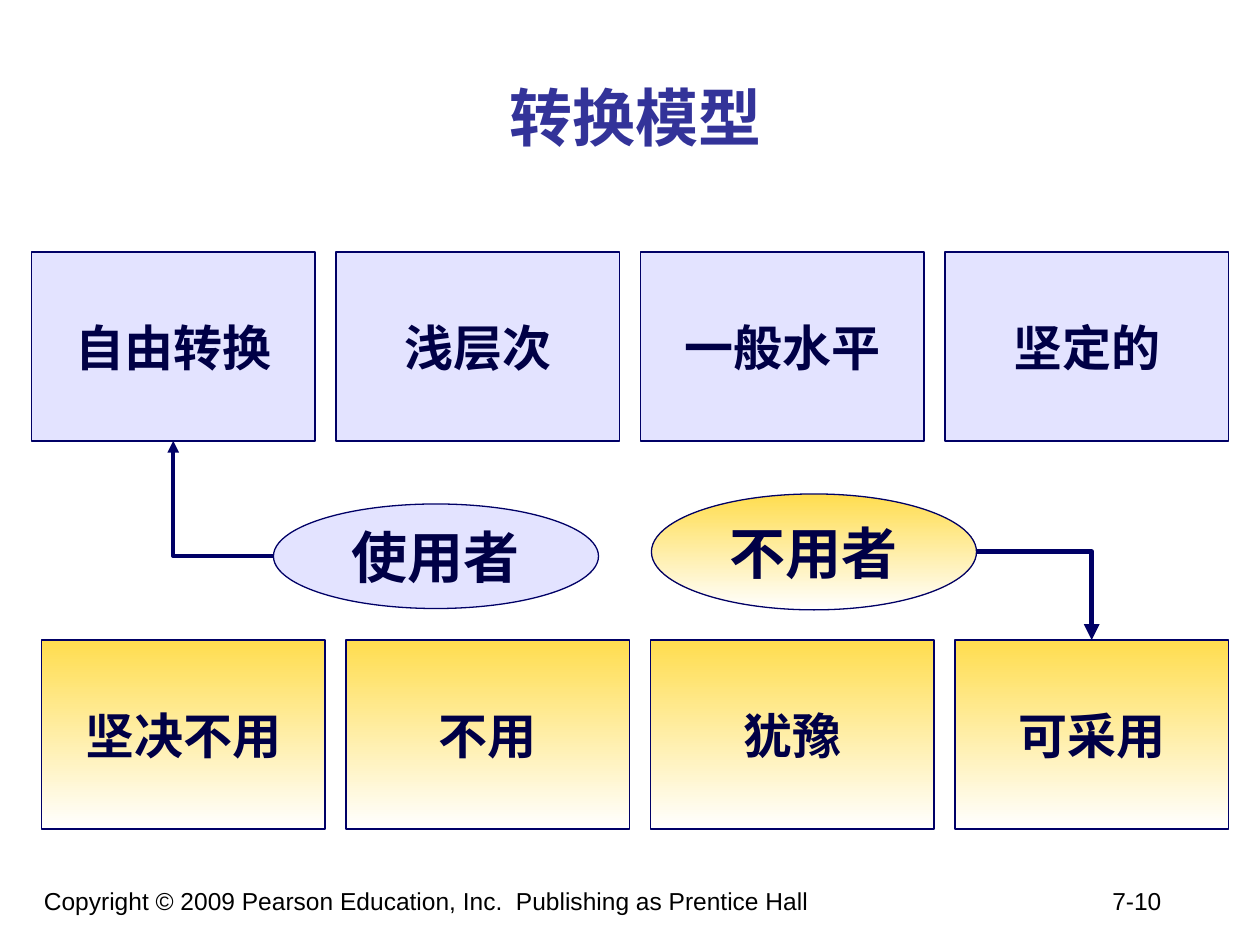
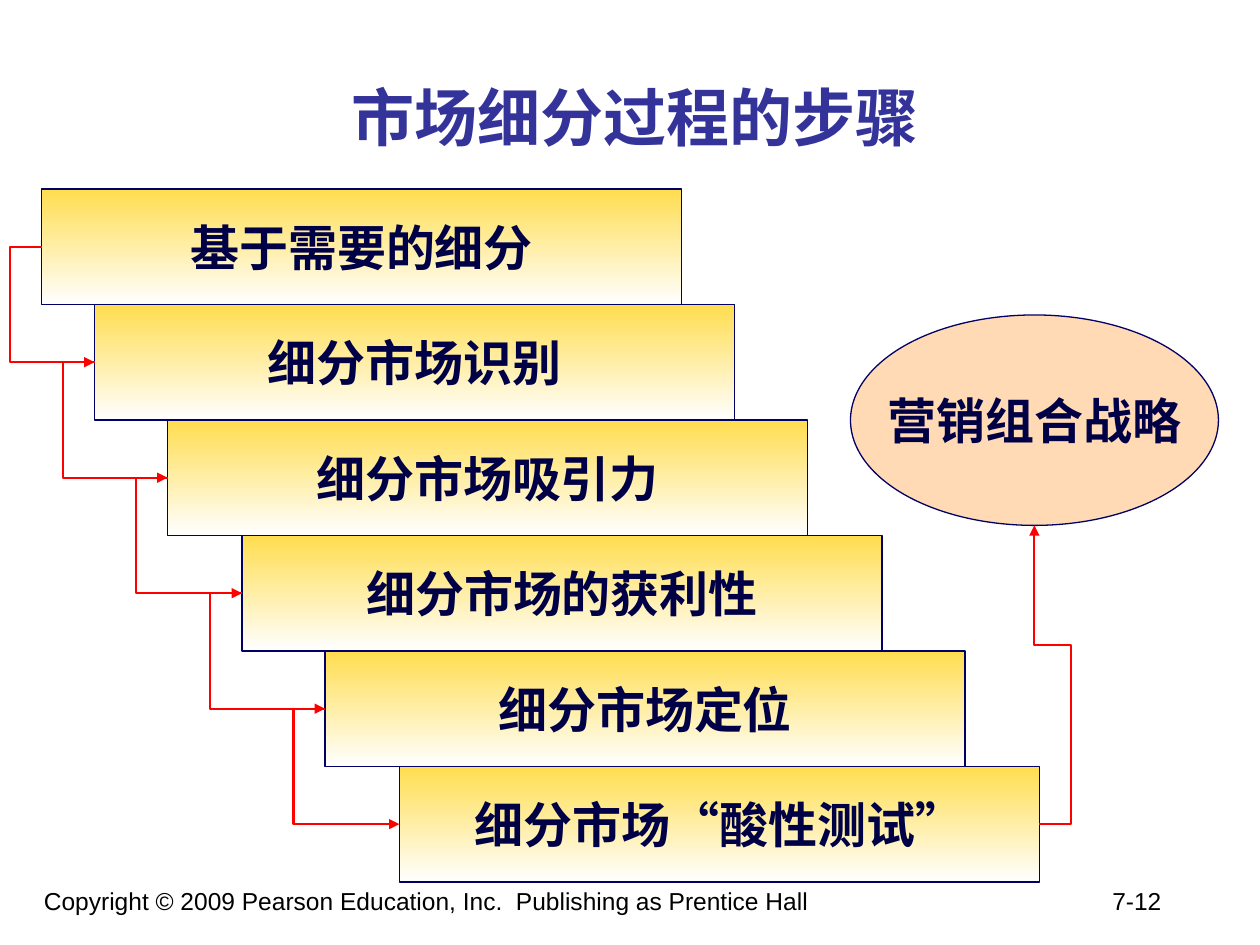
from lxml.etree import SubElement
from pptx import Presentation
from pptx.dml.color import RGBColor
from pptx.enum.shapes import MSO_CONNECTOR as Connector, MSO_SHAPE as Shape
from pptx.enum.text import MSO_ANCHOR as Anchor, PP_ALIGN as Align
from pptx.oxml.ns import qn
from pptx.util import Inches, Pt

NAVY, RED = "000066", "FF0000"
LAVENDER, PEACH = "E3E3FF", "FFDAB5"
GOLD_FADE = ("FFDD4F", "FFFFFF")
LATIN, CHINESE = "Arial", "Noto Sans CJK SC"
FOOTER = "Copyright © 2009 Pearson Education, Inc.  Publishing as Prentice Hall"
TOP, LEFT, BOTTOM, RIGHT = range(4)


def color(value):
    return RGBColor.from_string(value)


def write(shape, text, size=28, ink="000046", bold=True, font=LATIN,
          align=Align.CENTER, anchor=Anchor.MIDDLE, wrap=False, tab=None):
    frame = shape.text_frame
    frame.word_wrap = wrap
    frame.vertical_anchor = anchor
    paragraph = frame.paragraphs[0]
    paragraph.alignment = align
    if tab:
        tabs = SubElement(paragraph._p.get_or_add_pPr(), qn("a:tabLst"))
        SubElement(tabs, qn("a:tab"), pos=str(Inches(tab)), algn="l")
    run = paragraph.add_run()
    run.text = text
    run.font.size = Pt(size)
    run.font.bold = bold
    run.font.name = font
    run.font.color.rgb = color(ink)
    SubElement(run._r.get_or_add_rPr(), qn("a:ea"), typeface=CHINESE)


class Deck:
    def __init__(self):
        self.presentation = Presentation()
        self.presentation.slide_width = Inches(10)
        self.presentation.slide_height = Inches(7.5)
        self.slide = None

    def add_slide(self, title, number):
        layout = self.presentation.slide_layouts[6]
        self.slide = self.presentation.slides.add_slide(layout)
        self.text(0.25, 6.98, 9.33, 0.52, f"{FOOTER}\t{number}", size=14,
                  ink="000000", bold=False, align=Align.LEFT,
                  anchor=Anchor.TOP, tab=8.48)
        self.text(0.83, 0.3, 8.42, 1.25, title, size=36, ink="333399",
                  font=CHINESE)

    def text(self, left, top, width, height, text, **style):
        box = self.slide.shapes.add_textbox(
            Inches(left), Inches(top), Inches(width), Inches(height))
        write(box, text, wrap=True, **style)

    def shape(self, kind, left, top, width, height, text, fill, **style):
        shape = self.slide.shapes.add_shape(
            kind, Inches(left), Inches(top), Inches(width), Inches(height))
        shape.shadow.inherit = False
        if fill == GOLD_FADE:
            shape.fill.gradient()
            shape.fill.gradient_angle = 270
            for position, (stop, shade) in enumerate(
                    zip(shape.fill.gradient_stops, fill)):
                stop.position = position
                stop.color.rgb = color(shade)
        else:
            shape.fill.solid()
            shape.fill.fore_color.rgb = color(fill)
        shape.line.color.rgb = color(NAVY)
        shape.line.width = Pt(0.75)
        write(shape, text, **style)
        return shape

    def box(self, *place, **style):
        return self.shape(Shape.RECTANGLE, *place, **style)

    def oval(self, *place, **style):
        return self.shape(Shape.OVAL, *place, **style)

    def arrow(self, start, start_side, end, end_side, ink, weight, bends,
              overhang=None, rise=None):
        arrow = self.slide.shapes.add_connector(Connector.ELBOW, 0, 0, 0, 0)
        arrow.begin_connect(start, start_side)
        arrow.end_connect(end, end_side)
        for tag, shape, side in (("a:stCxn", start, start_side),
                                 ("a:endCxn", end, end_side)):
            if shape.auto_shape_type == Shape.OVAL:
                site = next(arrow.element.iter(qn(tag)))
                site.set("idx", str(side * 2))
        arrow.line.color.rgb = color(ink)
        arrow.line.width = Pt(weight)
        SubElement(arrow.line._get_or_add_ln(), qn("a:tailEnd"),
                   type="triangle")
        properties = arrow.element.spPr
        geometry = properties.find(qn("a:prstGeom"))
        geometry.set("prst", f"bentConnector{bends + 1}")
        guides = geometry.find(qn("a:avLst"))
        if overhang:
            ratio = -Inches(overhang) / arrow.width
            self.guide(guides, "adj1", ratio)
        if rise:
            self.guide(guides, "adj2", rise)
        SubElement(properties, qn("a:effectLst"))

    @staticmethod
    def guide(guides, name, ratio):
        SubElement(guides, qn("a:gd"), name=name,
                   fmla=f"val {round(ratio * 100000)}")


def conversion_model(deck):
    deck.add_slide("转换模型", "7-10")
    pitch = 7.25 / 3
    users = [deck.box(0.25 + i * pitch, 2, 2.25, 1.5, label, fill=LAVENDER)
             for i, label in enumerate(["自由转换", "浅层次", "一般水平", "坚定的"])]
    nonusers = [
        deck.box(0.33 + i * pitch, 5.08, width, 1.5, label, fill=GOLD_FADE)
        for i, (label, width) in enumerate([
            ("坚决不用", 2.25), ("不用", 2.25), ("犹豫", 2.25), ("可采用", 2.17)])]
    user = deck.oval(2.17, 4, 2.58, 0.83, "使用者", fill=LAVENDER, size=32)
    nonuser = deck.oval(5.17, 3.92, 2.58, 0.92, "不用者", fill=GOLD_FADE,
                        size=32)
    deck.arrow(nonuser, RIGHT, nonusers[-1], TOP, NAVY, 3, bends=1)
    deck.arrow(user, LEFT, users[0], BOTTOM, NAVY, 2.25, bends=1)


def segmentation_steps(deck):
    deck.add_slide("市场细分过程的步骤", "7-12")
    height = 5.5 / 6
    labels = [(0.33, "基于需要的细分"), (0.75, "细分市场识别"),
              (1.33, "细分市场吸引力"), (1.92, "细分市场的获利性"),
              (2.58, "细分市场定位"), (3.17, "细分市场“酸性测试”")]
    steps = [deck.box(left, 1.5 + i * height, 5.08, height, label,
                      fill=GOLD_FADE)
             for i, (left, label) in enumerate(labels)]
    strategy = deck.oval(6.75, 2.5, 2.92, 1.67, "营销组合战略", fill=PEACH)
    for step, following in zip(steps, steps[1:]):
        deck.arrow(step, LEFT, following, LEFT, RED, 1.25, bends=2,
                   overhang=0.25)
    deck.arrow(steps[-1], RIGHT, strategy, BOTTOM, RED, 1.25, bends=3,
               overhang=0.25, rise=0.6)


def main():
    deck = Deck()
    conversion_model(deck)
    segmentation_steps(deck)
    deck.presentation.save("out.pptx")


if __name__ == "__main__":
    main()
